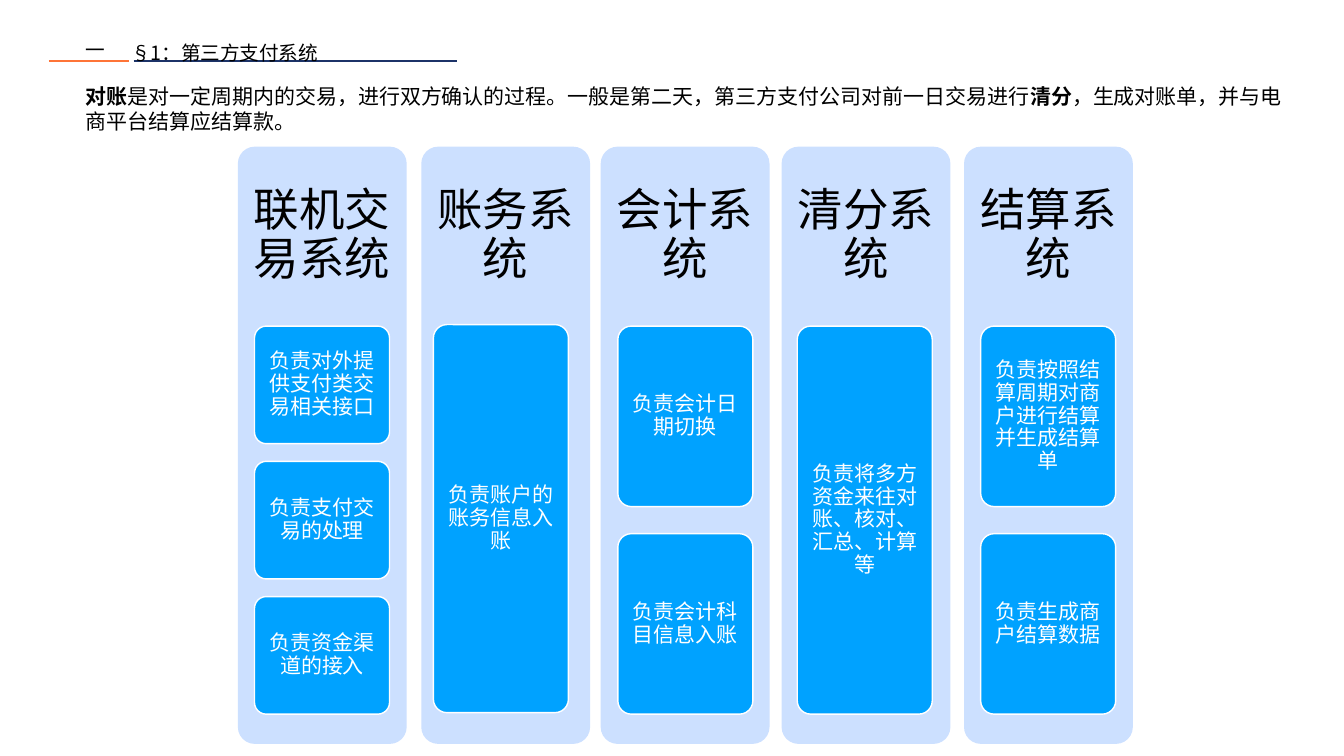
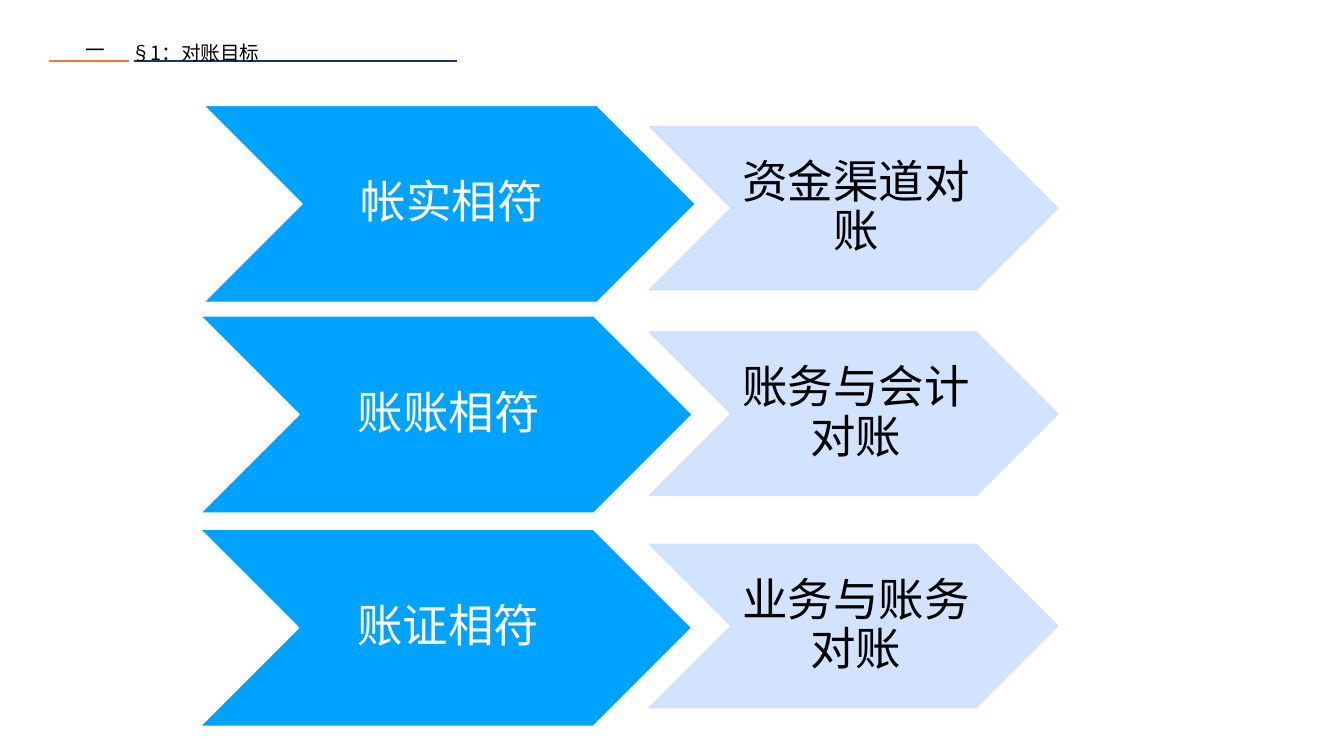
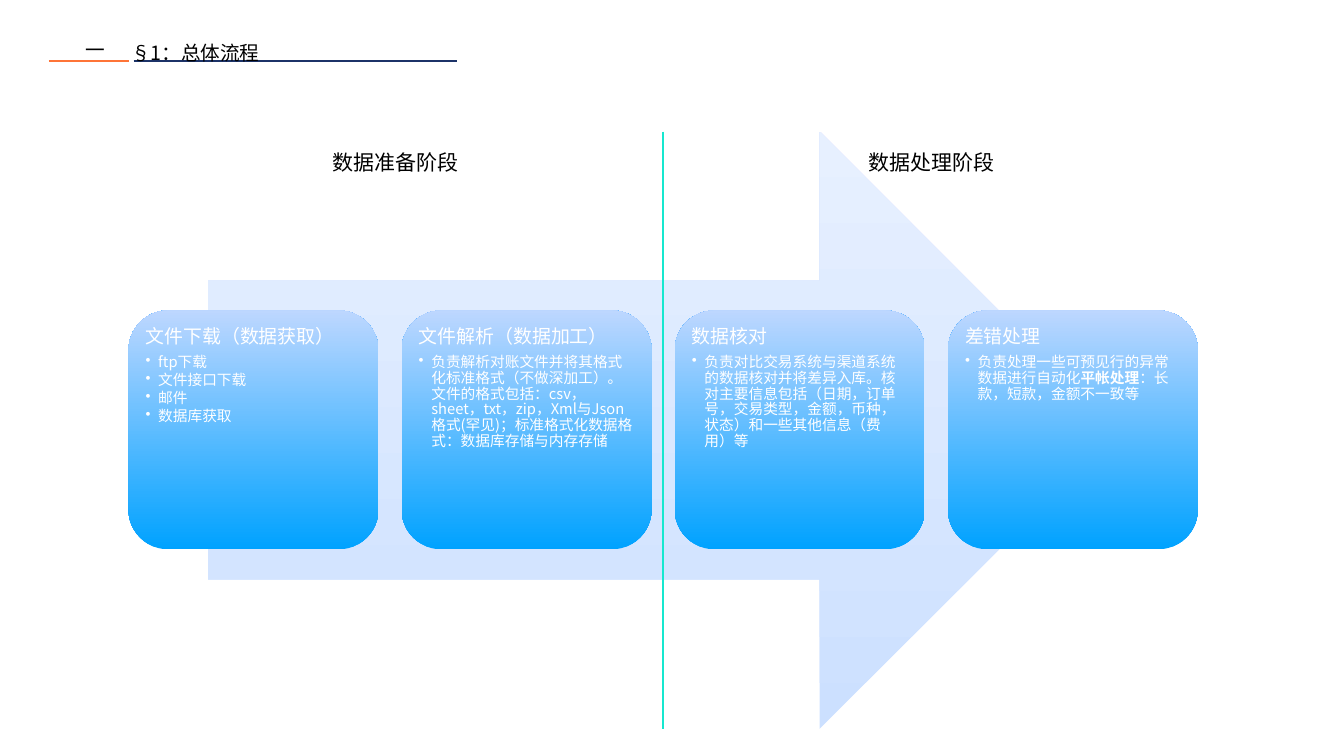
import pptx
import pptx.dml.color
import pptx.enum.dml
import pptx.enum.shapes
import pptx.enum.text
import pptx.oxml.ns
import pptx.util
from lxml import etree

Inches = pptx.util.Inches
Pt = pptx.util.Pt
color = pptx.dml.color.RGBColor.from_string
qn = pptx.oxml.ns.qn
SHAPE = pptx.enum.shapes.MSO_SHAPE
STRAIGHT = pptx.enum.shapes.MSO_CONNECTOR.STRAIGHT
ANCHOR = pptx.enum.text.MSO_ANCHOR
ALIGN = pptx.enum.text.PP_ALIGN
GROW = pptx.enum.text.MSO_AUTO_SIZE.SHAPE_TO_FIT_TEXT

FONT = "Noto Sans CJK SC"
BLACK = "000000"
WHITE = "FFFFFF"
BLUE = "00A2FF"
PALE = "CCE0FF"
ORANGE = "FE7437"
NAVY = "1C3368"
TURQUOISE = "16E7CF"
BULLET_SIZE = 21


def add_shape(slide, kind, box, fills, line=None, alpha=None):
    shape = slide.shapes.add_shape(kind, *map(Inches, box))
    shape.shadow.inherit = False
    if len(fills) == 2:
        shape.fill.gradient()
        shape.fill.gradient_angle = 90
        for stop, value in zip(shape.fill.gradient_stops, fills):
            stop.color.rgb = color(value)
    else:
        shape.fill.solid()
        shape.fill.fore_color.rgb = color(fills[0])
    if line:
        shape.line.color.rgb = color(line)
        shape.line.width = Pt(2)
    else:
        shape.line.fill.background()
    if alpha:
        for element in shape._element.spPr.iter(qn("a:srgbClr")):
            etree.SubElement(element, qn("a:alpha"), val=str(alpha * 1000))
    return shape


def add_text(slide, box, lines, size, value=BLACK, align=ALIGN.CENTER,
             anchor=ANCHOR.MIDDLE, insets=(0.06, 0.06, 0.06, 0.06), spacing=0.9):
    frame = slide.shapes.add_textbox(*map(Inches, box)).text_frame
    frame.word_wrap = True
    frame.vertical_anchor = anchor
    frame.margin_left, frame.margin_top, frame.margin_right, frame.margin_bottom = map(Inches, insets)
    for index, line in enumerate(lines):
        paragraph = frame.add_paragraph() if index else frame.paragraphs[0]
        for position, part in enumerate(line.split("*")):
            if part:
                run = paragraph.add_run()
                run.text = part
                if position % 2:
                    run.font.bold = True
        paragraph.alignment = align
        paragraph.line_spacing = spacing
        paragraph.font.name = FONT
        paragraph.font.size = Pt(BULLET_SIZE if index else size)
        paragraph.font.color.rgb = color(value)
        properties = paragraph._p.get_or_add_pPr()
        defaults = properties.find(qn("a:defRPr"))
        etree.SubElement(defaults, qn("a:ea"), typeface=FONT)
        if len(lines) > 1:
            paragraph.space_after = Pt(BULLET_SIZE * 0.15 if index else size * 0.35)
        if index:
            paragraph.level = 1
            properties.set("marL", str(Inches(0.25)))
            properties.set("indent", str(Inches(-0.25)))
            bullet = etree.SubElement(properties, qn("a:buChar"), char="•")
            defaults.addprevious(bullet)
    return frame


presentation = pptx.Presentation()
presentation.slide_width = Inches(26.67)
presentation.slide_height = Inches(15)

slides = []
for title in ["§1：第三方支付系统", "§1：对账目标", "§1：总体流程"]:
    slide = presentation.slides.add_slide(presentation.slide_layouts[6])
    slides.append(slide)
    for start, end, value in [(0.97, 2.56, ORANGE), (2.65, 9.06, NAVY)]:
        rule = slide.shapes.add_connector(STRAIGHT, Inches(start), Inches(1.21), Inches(end), Inches(1.21))
        rule.line.color.rgb = color(value)
        rule.line.width = Pt(4)
    for box, text in [((1.63, 0.5, 1.83, 0.74), "一"), ((2.54, 0.52, 7.09, 0.82), title)]:
        frame = add_text(slide, box, [text], 28, align=ALIGN.LEFT, spacing=1.5)
        frame.auto_size = GROW

systems_slide, goals_slide, process_slide = slides

systems = [
    (4.72, 5.05, 6.47, "联机交易系统",
     ["负责对外提供支付类交易相关接口", "负责支付交易的处理", "负责资金渠道的接入"]),
    (8.36, 8.6, 6.44, "账务系统", ["负责账户的账务信息入账"]),
    (11.92, 12.26, 6.47, "会计系统", ["负责会计日期切换", "负责会计科目信息入账"]),
    (15.51, 15.82, 6.47, "清分系统", ["负责将多方资金来往对账、核对、汇总、计算等"]),
    (19.13, 19.46, 6.47, "结算系统",
     ["负责按照结算周期对商户进行结算并生成结算单", "负责生成商户结算数据"]),
]
for column_left, card_left, cards_top, name, duties in systems:
    column = add_shape(systems_slide, SHAPE.ROUNDED_RECTANGLE, (column_left, 2.91, 3.35, 11.85), [PALE])
    column.adjustments[0] = 0.1
    add_text(systems_slide, (column_left, 2.91, 3.35, 3.56), [name], 65, insets=[0.27] * 4)
    gap_ratio = 0.15
    card_height = 7.7 / (len(duties) + gap_ratio * (len(duties) - 1))
    for index, duty in enumerate(duties):
        card_top = cards_top + index * card_height * (1 + gap_ratio)
        card = add_shape(systems_slide, SHAPE.ROUNDED_RECTANGLE,
                         (card_left, card_top, 2.68, card_height), [BLUE], WHITE)
        card.adjustments[0] = 0.1
        add_text(systems_slide, (card_left + 0.08, card_top + 0.08, 2.52, card_height - 0.16),
                 [duty], 30, WHITE, insets=(0.08, 0.06, 0.08, 0.06))

summary = ("*对账*是对一定周期内的交易，进行双方确认的过程。一般是第二天，第三方支付公司对前一日交易进行"
           "*清分*，生成对账单，并与电商平台结算应结算款。")
frame = add_text(systems_slide, (1.63, 1.6, 23.94, 1.12), [summary], 30, align=ALIGN.LEFT, spacing=1.0)
frame.auto_size = GROW

goals = [
    (4.04, 2.09, "帐实相符", 2.51, "资金渠道对账"),
    (3.98, 6.27, "账账相符", 6.59, "账务与会计对账"),
    (3.97, 10.5, "账证相符", 10.8, "业务与账务对账"),
]
for goal_left, goal_top, goal, check_top, check in goals:
    for left, top, width, height, text, fill, line, alpha, value in [
        (goal_left, goal_top, 9.76, 3.91, goal, BLUE, WHITE, None, WHITE),
        (12.89, check_top, 8.1, 3.24, check, PALE, PALE, 90, BLACK),
    ]:
        add_shape(goals_slide, SHAPE.CHEVRON, (left, top, width, height), [fill], line, alpha)
        add_text(goals_slide, (left + height / 2, top, width - height, height), [text], 65, value,
                 insets=(0.09, 0.05, 0, 0.05))

add_shape(process_slide, SHAPE.RIGHT_ARROW, (4.13, 2.61, 18.06, 11.85), [PALE, "E7F0FF"])
steps = [
    ["文件下载（数据获取）", "ftp下载", "文件接口下载", "邮件", "数据库获取"],
    ["文件解析（数据加工）",
     "负责解析对账文件并将其格式化标准格式（不做深加工）。文件的格式包括：csv，sheet，txt，zip，"
     "Xml与Json格式(罕见)；标准格式化数据格式：数据库存储与内存存储"],
    ["数据核对",
     "负责对比交易系统与渠道系统的数据核对并将差异入库。核对主要信息包括（日期，订单号，交易类型，"
     "金额，币种，状态）和一些其他信息（费用）等"],
    ["差错处理", "负责处理一些可预见行的异常数据进行自动化*平帐处理*：长款，短款，金额不一致等"],
]
for index, lines in enumerate(steps):
    left = 2.55 + index * 5.42
    add_shape(process_slide, SHAPE.ROUNDED_RECTANGLE, (left, 6.16, 4.96, 4.74), [BLUE, "BDD7FF"])
    add_text(process_slide, (left + 0.23, 6.39, 4.5, 4.28), lines, 27, WHITE, ALIGN.LEFT,
             ANCHOR.TOP, [0.11] * 4)

divider = process_slide.shapes.add_connector(STRAIGHT, Inches(13.16), Inches(2.61), Inches(13.16), Inches(14.46))
divider.line.color.rgb = color(TURQUOISE)
divider.line.width = Pt(3)
for left, stage in [(6.53, "数据准备阶段"), (17.16, "数据处理阶段")]:
    frame = add_text(process_slide, (left, 2.9, 2.64, 0.62), [stage], 30, spacing=1.0)
    frame.word_wrap = False
    frame.auto_size = GROW

for slide in slides:
    for shape in slide.shapes:
        if shape.shape_type == pptx.enum.shapes.MSO_SHAPE_TYPE.LINE:
            etree.SubElement(shape._element.spPr, qn("a:effectLst"))

presentation.save("out.pptx")
